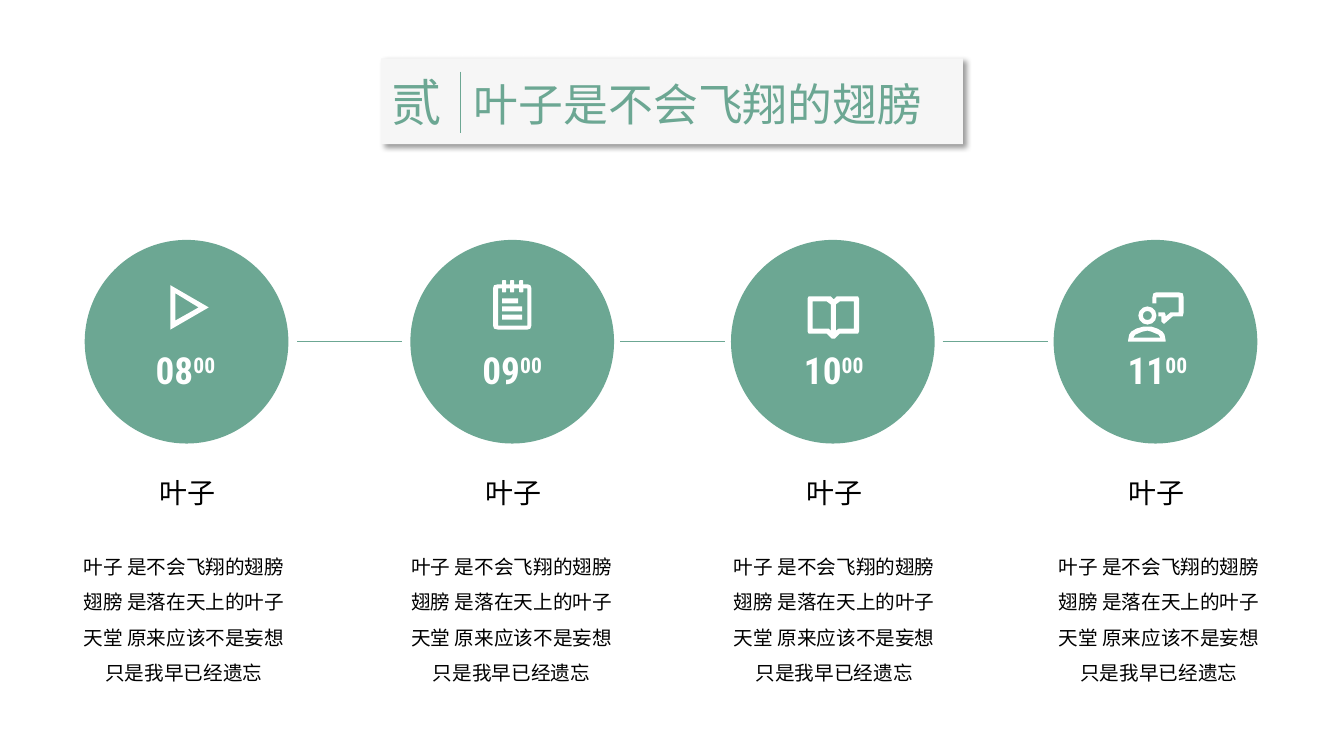
from lxml.etree import SubElement
from pptx import Presentation
from pptx.dml.color import RGBColor
from pptx.enum.shapes import MSO_CONNECTOR, MSO_SHAPE
from pptx.enum.text import MSO_ANCHOR, MSO_AUTO_SIZE, PP_ALIGN
from pptx.oxml.ns import qn
from pptx.util import Emu, Pt

SCALE = 9144  # EMU in one px, 100 px to the inch
GREEN, PALE, WHITE, BLACK = "6CA793", "F6F6F6", "FFFFFF", "000000"
BODY_FONT, TITLE_FONT, TIME_FONT = "Noto Sans CJK JP", "Noto Sans CJK SC", "Roboto Condensed"

CIRCLE_SIZE, CIRCLE_TOP = 202, 238
VERSE = "叶子 是不会飞翔的翅膀翅膀 是落在天上的叶子天堂 原来应该不是妄想只是我早已经遗忘"

# Icon outlines: contours of px points inside the circle's box
PLAY = [
    [(85, 45), (85, 89), (123, 67)],
    [(90, 53), (113, 67), (90, 80)],
]
NOTEPAD = [
    [(87, 44), (116, 44), (119, 45), (120, 48), (120, 85), (119, 88), (116, 89),
     (87, 89), (83, 88), (82, 85), (82, 48), (83, 45)],
    [(87, 48), (116, 48), (116, 85), (87, 85)],
]
BOOK = [
    [(124, 56), (105, 56), (102, 59), (99, 56), (79, 56), (77, 56), (76, 58),
     (76, 91), (77, 93), (95, 93), (100, 98), (103, 98), (108, 93), (126, 93),
     (127, 91), (127, 58), (126, 56)],
    [(97, 88), (81, 88), (81, 61), (95, 61), (99, 64), (99, 90)],
    [(122, 88), (107, 88), (104, 90), (104, 64), (108, 61), (122, 61)],
]
BUBBLE = [
    [(109, 83), (107, 81), (107, 76), (104, 76), (104, 72), (110, 72), (111, 74),
     (111, 76), (116, 72), (124, 72), (124, 57), (102, 57), (102, 63), (98, 63),
     (98, 57), (99, 53), (102, 52), (124, 52), (128, 53), (129, 57), (129, 72),
     (128, 76), (124, 76), (118, 76), (110, 83)],
]
SHOULDERS = [
    [(111, 101), (74, 101), (74, 99), (75, 94), (77, 91), (82, 88), (89, 86),
     (97, 86), (103, 88), (108, 91), (110, 94), (111, 99)],
    [(79, 97), (106, 97), (104, 94), (97, 91), (93, 90), (88, 91), (81, 94)],
]


def px(length):
    return Emu(length * SCALE)


def colour(value):
    return RGBColor.from_string(value)


def add_span(para, text, *, size, font, color, bold=False, raised=False):
    span = para.add_run()
    span.text = text
    span.font.size = Pt(size)
    span.font.bold = bold
    span.font.color.rgb = colour(color)
    span.font.name = font
    properties = span._r.get_or_add_rPr()
    SubElement(properties, qn("a:ea"), typeface=font)
    if raised:
        properties.set("baseline", "30000")


def add_text(page, box, text, *, raised="", spacing=None, **style):
    frame = page.shapes.add_textbox(*map(px, box)).text_frame
    frame.word_wrap = True
    para = frame.paragraphs[0]
    para.alignment = PP_ALIGN.CENTER
    if spacing:
        para.line_spacing = spacing
    add_span(para, text, **style)
    if raised:
        add_span(para, raised, raised=True, **style)


def paint(shape, color):
    shape.shadow.inherit = False
    shape.fill.solid()
    shape.fill.fore_color.rgb = colour(color)
    shape.line.fill.background()


def add_preset(page, kind, box, color):
    shape = page.shapes.add_shape(kind, *map(px, box))
    paint(shape, color)


def add_outline(page, left, top, contours):
    builder = None
    for contour in contours:
        points = [(left + x, top + y) for x, y in contour]
        if builder is None:
            builder = page.shapes.build_freeform(*points[0], scale=SCALE)
        else:
            builder.move_to(*points[0])
        builder.add_line_segments(points[1:], close=True)
    paint(builder.convert_to_shape(), WHITE)


def add_rule(page, start, end, width):
    rule = page.shapes.add_connector(MSO_CONNECTOR.STRAIGHT, *map(px, start + end))
    rule.line.color.rgb = colour(GREEN)
    rule.line.width = Pt(width)
    SubElement(rule._element.spPr, qn("a:effectLst"))


# Icons, each placed inside its circle
def draw_play(page, left, top):
    add_outline(page, left, top, PLAY)


def draw_notepad(page, left, top):
    add_outline(page, left, top, NOTEPAD)
    for x in (91, 99, 108):
        add_preset(page, MSO_SHAPE.ROUNDED_RECTANGLE, (left + x, top + 40, 4, 12), WHITE)
    for y, width in ((58, 16), (66, 20), (74, 20)):
        add_preset(page, MSO_SHAPE.RECTANGLE, (left + 91, top + y, width, 5), WHITE)


def draw_book(page, left, top):
    add_outline(page, left, top, BOOK)


def draw_speaker(page, left, top):
    add_outline(page, left, top, BUBBLE)
    add_preset(page, MSO_SHAPE.DONUT, (left + 84, top + 66, 18, 18), WHITE)
    add_outline(page, left, top, SHOULDERS)


# Title banner with a soft shadow and a divider after the number
def draw_title(page, box, number, text):
    left, top, width, height = box
    title = page.shapes.title
    title.left, title.top, title.width, title.height = map(px, box)
    paint(title, PALE)
    effects = title._element.spPr.find(qn("a:effectLst"))
    shadow = SubElement(effects, qn("a:outerShdw"), blurRad=str(Pt(4)), dist=str(Pt(3)),
                        dir="2700000", algn="tl", rotWithShape="0")
    tint = SubElement(shadow, qn("a:srgbClr"), val=BLACK)
    SubElement(tint, qn("a:alpha"), val="40000")

    frame = title.text_frame
    frame.auto_size = MSO_AUTO_SIZE.NONE
    frame.vertical_anchor = MSO_ANCHOR.MIDDLE
    frame.word_wrap = True
    para = frame.paragraphs[0]
    para.alignment = PP_ALIGN.LEFT
    tabs = SubElement(para._p.get_or_add_pPr(), qn("a:tabLst"))
    SubElement(tabs, qn("a:tab"), pos=str(px(82)), algn="l")
    add_span(para, number + "\t", size=36, font=TITLE_FONT, color=GREEN)
    add_span(para, text, size=32, font=TITLE_FONT, color=GREEN)
    add_rule(page, (left + 79, top + 13), (left + 79, top + 74), 0.5)


# One stop on the timeline: circle, icon, hour, heading and verse
def draw_stop(page, index, left, top, hour, draw_icon):
    add_preset(page, MSO_SHAPE.OVAL, (left, top, CIRCLE_SIZE, CIRCLE_SIZE), GREEN)
    draw_icon(page, left, top)
    add_text(page, (left + index - 1, top + 102, CIRCLE_SIZE, 55), hour, raised="00",
             size=26.6, font=TIME_FONT, color=WHITE, bold=True)
    add_text(page, (left - 16, top + 229, 237, 44), "叶子",
             size=20, font=BODY_FONT, color=BLACK)
    add_text(page, (left - 18 + 2 * index, top + 296, 233, 151), VERSE, spacing=1.5,
             size=14, font=BODY_FONT, color=BLACK)


def draw_timeline(page, top):
    stops = [(84, "08", draw_play), (407, "09", draw_notepad),
             (725, "10", draw_book), (1045, "11", draw_speaker)]
    for index, (left, hour, draw_icon) in enumerate(stops):
        draw_stop(page, index, left, top, hour, draw_icon)
    middle = top + CIRCLE_SIZE // 2
    for index in range(len(stops) - 1):
        start = 295 + 320 * index
        add_rule(page, (start, middle), (start + 104, middle), 1)


def main():
    deck = Presentation()
    deck.slide_width, deck.slide_height = px(1333), px(750)
    page = deck.slides.add_slide(deck.slide_layouts[5])
    draw_title(page, (378, 58, 577, 85), "贰", "叶子是不会飞翔的翅膀")
    draw_timeline(page, CIRCLE_TOP)
    deck.save("out.pptx")


if __name__ == "__main__":
    main()
